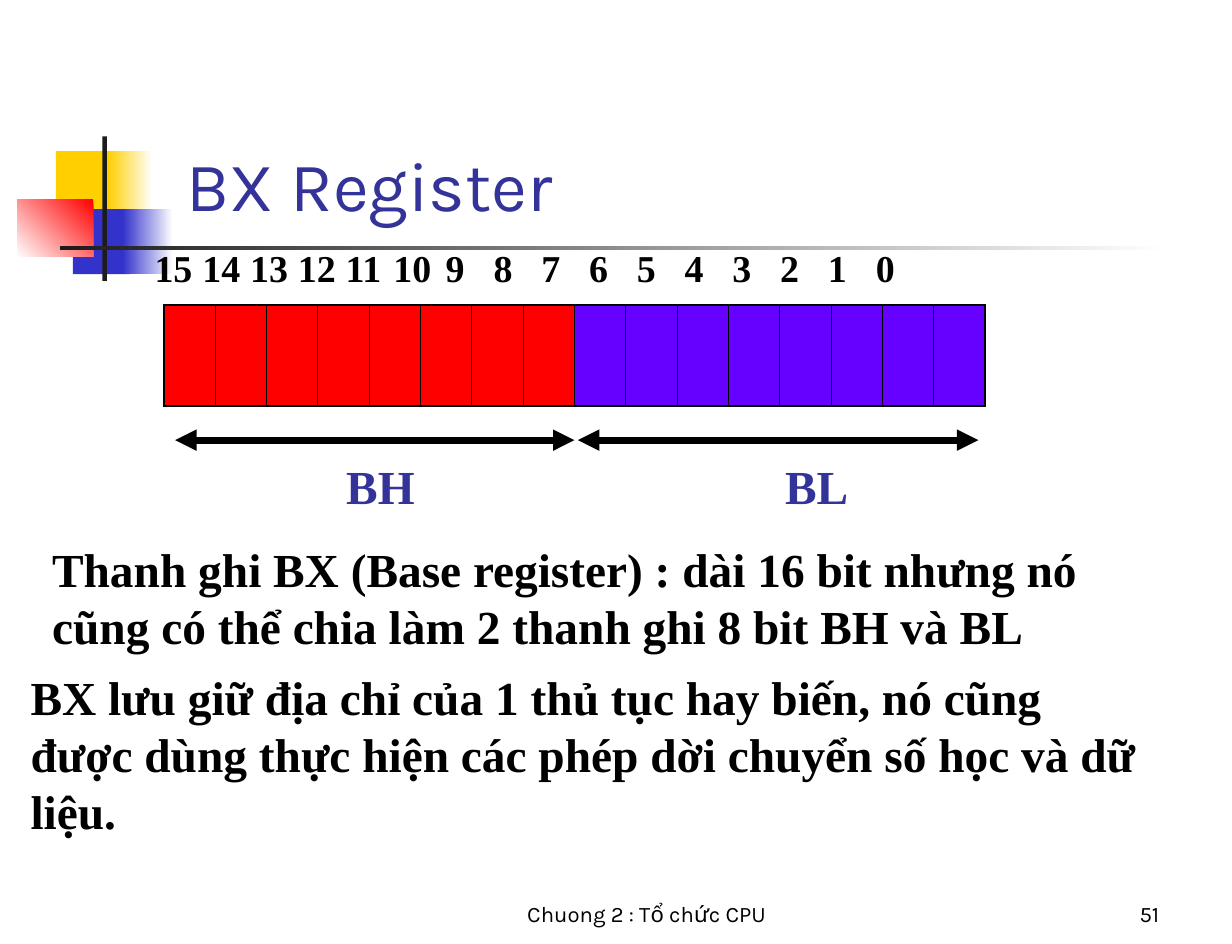
from dataclasses import dataclass

from lxml.etree import SubElement
from pptx import Presentation
from pptx.dml.color import RGBColor
from pptx.dml.fill import FillFormat
from pptx.enum.shapes import MSO_CONNECTOR, MSO_SHAPE
from pptx.enum.text import MSO_ANCHOR, PP_ALIGN
from pptx.oxml import parse_xml
from pptx.oxml.ns import nsdecls, qn
from pptx.slide import Slide
from pptx.text.text import TextFrame
from pptx.util import Inches, Pt

HUES = {
    "gold": "FFCF01", "blue": "3333CC", "red": "FF0000", "white": "FFFFFF",
    "dark": "1C1C1C", "navy": "333399", "black": "000000", "violet": "6600FF",
}
SERIF = "Times New Roman"
SANS = "Karla"
BITS = 16
HALF = BITS // 2


@dataclass
class Block:
    left: float
    top: float
    width: float
    height: float
    start: str
    end: str = ""
    angle: int = 180


@dataclass
class Label:
    left: float
    top: float
    width: float
    height: float
    text: str
    size: int = 30
    hue: str = "black"
    font: str = SERIF
    bold: bool = True
    align: PP_ALIGN = PP_ALIGN.LEFT
    anchor: MSO_ANCHOR = MSO_ANCHOR.TOP
    stops: tuple[float, ...] = ()


BLOCKS = [
    Block(0.49, 1.33, 0.52, 0.57, "gold"),
    Block(0.95, 1.33, 0.39, 0.57, "white", "gold"),
    Block(0.64, 1.84, 0.5, 0.57, "blue"),
    Block(1.08, 1.84, 0.44, 0.57, "white", "blue"),
    Block(0.15, 1.75, 0.67, 0.51, "red", "white", 225),
    Block(0.9, 1.2, 0.04, 1.27, "dark"),
    Block(0.53, 2.16, 9.74, 0.04, "white", "dark"),
]
TITLE = Label(1.54, 1.38, 7.39, 0.65, "BX Register", 44, "navy", SANS, False,
              anchor=MSO_ANCHOR.BOTTOM)
STOPS = tuple(0.42 * i + (0.04 if i > 5 else 0) for i in range(1, BITS))
LABELS = [
    Label(1.26, 2.1, 7.49, 0.5, "\t".join(str(bit) for bit in reversed(range(BITS))),
          24, stops=STOPS),
    Label(2.26, 3.97, 2.17, 0.6, "BH", hue="navy", align=PP_ALIGN.CENTER),
    Label(6.23, 3.97, 1.9, 0.6, "BL", hue="navy", align=PP_ALIGN.CENTER),
    Label(0.36, 4.7, 10.1, 1.1,
          "Thanh ghi BX (Base register) : dài 16 bit nhưng nó cũng có thể "
          "chia làm 2 thanh ghi 8 bit BH và BL"),
    Label(0.17, 5.83, 10.02, 1.6,
          "BX lưu giữ địa chỉ của 1 thủ tục hay biến, nó cũng được dùng "
          "thực hiện các phép dời chuyển số học và dữ liệu."),
    Label(3.97, 7.65, 3.43, 0.55, "Chuong 2 : Tổ chức CPU", 14, font=SANS, bold=False,
          align=PP_ALIGN.CENTER, anchor=MSO_ANCHOR.BOTTOM),
    Label(8.03, 7.65, 2.26, 0.55, "51", 14, font=SANS, bold=False,
          align=PP_ALIGN.RIGHT, anchor=MSO_ANCHOR.BOTTOM),
]
ARROWS = [(1.54, 5.05), (5.08, 8.6)]


def tint(name: str) -> RGBColor:
    return RGBColor.from_string(HUES[name])


def paint(fill: FillFormat, name: str) -> None:
    fill.solid()
    fill.fore_color.rgb = tint(name)


def add_block(slide: Slide, block: Block) -> None:
    shape = slide.shapes.add_shape(
        MSO_SHAPE.RECTANGLE, Inches(block.left), Inches(block.top),
        Inches(block.width), Inches(block.height))
    shape.shadow.inherit = False
    shape.line.fill.background()
    if not block.end:
        paint(shape.fill, block.start)
        return
    shape.fill.gradient()
    shape.fill.gradient_angle = block.angle
    for stop, name in zip(shape.fill.gradient_stops, (block.start, block.end)):
        stop.color.rgb = tint(name)


def write(frame: TextFrame, label: Label) -> None:
    frame.word_wrap = True
    frame.vertical_anchor = label.anchor
    para = frame.paragraphs[0]
    para.alignment = label.align
    if label.stops:
        tabs = SubElement(para._p.get_or_add_pPr(), qn("a:tabLst"))
        for stop in label.stops:
            SubElement(tabs, qn("a:tab"), pos=str(Inches(stop)), algn="l")
    run = para.add_run()
    run.text = label.text
    run.font.name = label.font
    run.font.size = Pt(label.size)
    run.font.bold = label.bold
    run.font.color.rgb = tint(label.hue)


def add_title(slide: Slide, label: Label) -> None:
    title = slide.shapes.title
    title.left, title.top = Inches(label.left), Inches(label.top)
    title.width, title.height = Inches(label.width), Inches(label.height)
    write(title.text_frame, label)


def add_label(slide: Slide, label: Label) -> None:
    box = slide.shapes.add_textbox(
        Inches(label.left), Inches(label.top), Inches(label.width), Inches(label.height))
    write(box.text_frame, label)


def add_cells(slide: Slide) -> None:
    grid = slide.shapes.add_table(
        1, BITS, Inches(1.44), Inches(2.68), Inches(7.22), Inches(0.89)).table
    grid.first_row = grid.horz_banding = False
    for i, cell in enumerate(grid.iter_cells()):
        grid.columns[i].width = Inches(7.22 / BITS)
        paint(cell.fill, "red" if i < HALF else "violet")
        sides = {"L": 1.08 if i == 0 else 0.45,
                 "R": 1.08 if i == BITS - 1 else 0.45, "T": 1.08, "B": 1.08}
        for spot, (side, width) in enumerate(sides.items()):
            edge = parse_xml(
                f'<a:ln{side} {nsdecls("a")} w="{Pt(width)}"><a:solidFill>'
                f'<a:srgbClr val="{HUES["black"]}"/></a:solidFill></a:ln{side}>')
            cell._tc.get_or_add_tcPr().insert(spot, edge)


def add_arrow(slide: Slide, start: float, end: float) -> None:
    arrow = slide.shapes.add_connector(
        MSO_CONNECTOR.STRAIGHT, Inches(start), Inches(3.87), Inches(end), Inches(3.87))
    arrow.line.width = Pt(4.5)
    arrow.line.color.rgb = tint("black")
    line = arrow.line._get_or_add_ln()
    for tip in ("a:headEnd", "a:tailEnd"):
        SubElement(line, qn(tip), type="triangle")
    SubElement(arrow._element.spPr, qn("a:effectLst"))


def main() -> None:
    deck = Presentation()
    deck.slide_width, deck.slide_height = Inches(10.83), Inches(8.3)
    slide = deck.slides.add_slide(deck.slide_layouts[5])
    for block in BLOCKS:
        add_block(slide, block)
    add_title(slide, TITLE)
    add_cells(slide)
    for start, end in ARROWS:
        add_arrow(slide, start, end)
    for label in LABELS:
        add_label(slide, label)
    deck.save("out.pptx")


if __name__ == "__main__":
    main()
